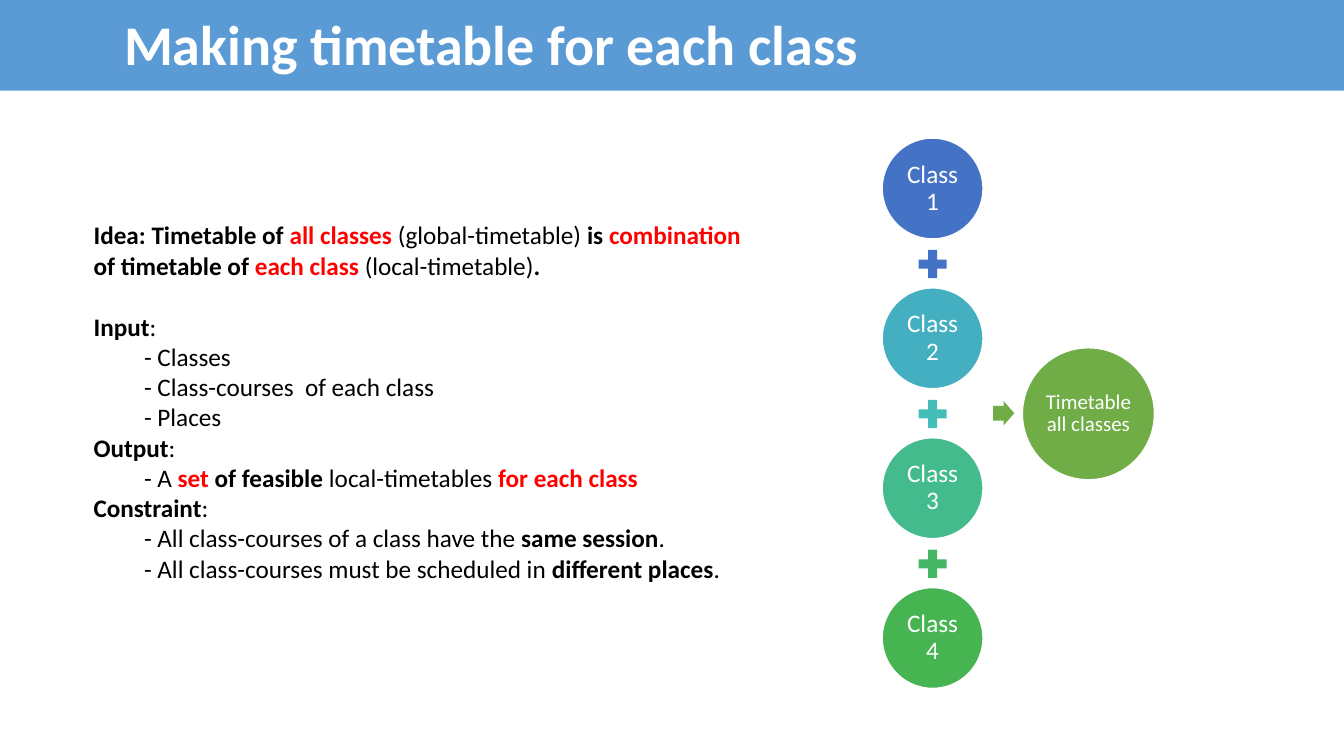
from pptx import Presentation
from pptx.dml.color import RGBColor
from pptx.enum.shapes import MSO_SHAPE
from pptx.enum.text import MSO_ANCHOR, PP_ALIGN
from pptx.util import Inches, Pt

ARROW = MSO_SHAPE.RIGHT_ARROW
CIRCLE = MSO_SHAPE.OVAL
PLUS = MSO_SHAPE.MATH_PLUS
MIDDLE = MSO_ANCHOR.MIDDLE
LEFT = PP_ALIGN.LEFT
CENTER = PP_ALIGN.CENTER

WHITE, BLACK, RED = "FFFFFF", "000000", "FF0000"
BLUE, GREEN = "5B9BD5", "70AD47"


def color(value):
    """Return the colour for a hex string."""
    return RGBColor.from_string(value)


def plain(text):
    """Describe a regular black run."""
    return text, False, BLACK


def bold(text):
    """Describe a bold black run."""
    return text, True, BLACK


def key(text):
    """Describe a bold red run."""
    return text, True, RED


class SlideBuilder:
    """Holds the style and the current slide."""

    font = "Calibri"

    def __init__(self, slide):
        """Keep the slide to draw on."""
        self.slide = slide

    def add_run(self, paragraph, text, size, is_bold, ink):
        """Append one styled run to a paragraph."""
        run = paragraph.add_run()
        run.text = text
        run.font.name = self.font
        run.font.size = Pt(size)
        run.font.bold = is_bold
        run.font.color.rgb = color(ink)

    def shape(self, kind, left, top, width, height, fill, outline=None):
        """Draw a filled preset shape."""
        shape = self.slide.shapes.add_shape(
            kind, Inches(left), Inches(top), Inches(width), Inches(height))
        shape.shadow.inherit = False
        shape.fill.solid()
        shape.fill.fore_color.rgb = color(fill)
        if outline:
            shape.line.color.rgb = color(outline)
            shape.line.width = Pt(1)
        else:
            shape.line.fill.background()
        return shape

    def banner(self, text):
        """Draw the title band across the top."""
        band = self.shape(ARROW, 0, -0.51, 14.71, 1.88, BLUE)
        frame = band.text_frame
        frame.vertical_anchor = MIDDLE
        frame.margin_left = Inches(1.23)
        title = frame.paragraphs[0]
        title.alignment = LEFT
        self.add_run(title, text, 40, True, WHITE)

    def circle(self, left, top, diameter, fill, label, size, inset):
        """Draw a circle with a centred label."""
        disc = self.shape(CIRCLE, left, top, diameter, diameter, fill, WHITE)
        frame = disc.text_frame
        frame.word_wrap = True
        frame.vertical_anchor = MIDDLE
        frame.margin_left = frame.margin_right = Inches(inset)
        frame.margin_top = frame.margin_bottom = Inches(inset)
        caption = frame.paragraphs[0]
        caption.alignment = CENTER
        caption.line_spacing = 0.9
        self.add_run(caption, label, size, False, WHITE)

    def body(self, left, top, width, height, lines, size, gap_before):
        """Write lines of (level, runs), with a gap before one of them."""
        box = self.slide.shapes.add_textbox(
            Inches(left), Inches(top), Inches(width), Inches(height))
        frame = box.text_frame
        frame.word_wrap = True
        for index, (level, runs) in enumerate(lines):
            paragraph = frame.add_paragraph() if index else frame.paragraphs[0]
            if level:
                paragraph.level = level
                properties = paragraph._p.get_or_add_pPr()
                properties.set("marL", str(Inches(0.5 * level)))
                properties.set("indent", "0")
            if index == gap_before:
                paragraph.space_before = Pt(22)
            for text, is_bold, ink in runs:
                self.add_run(paragraph, text, size, is_bold, ink)


IDEA = [
    (0, [bold("Idea: Timetable of "), key("all classes "),
         plain("(global-timetable)"), bold(" is "), key("combination"),
         bold(" of timetable of "), key("each class "),
         plain("(local-timetable)"), bold(".")]),
    (0, [bold("Input"), plain(":")]),
    (1, [plain("- Classes")]),
    (1, [plain("- Class-courses  of each class")]),
    (1, [plain("- Places")]),
    (0, [bold("Output"), plain(":")]),
    (1, [plain("- A "), key("set"), bold(" of feasible "),
         plain("local-timetables "), key("for each class")]),
    (0, [bold("Constraint"), plain(":")]),
    (1, [plain("- All class-courses of a class have the "),
         bold("same session"), plain(".")]),
    (1, [plain("- All class-courses must be scheduled in "),
         bold("different places"), plain(".")]),
]
CLASS_FILLS = ["4472C4", "43AFC0", "43BB8D", "45B451"]
PLUS_FILLS = ["4472C4", "43BEB9", "45B664"]
FIRST_TOP = 1.37
CLASS_PITCH = 4.46 / 3


def main():
    """Build the slide and save it."""
    deck = Presentation()
    deck.slide_width = Inches(13.33)
    deck.slide_height = Inches(7.5)
    builder = SlideBuilder(deck.slides.add_slide(deck.slide_layouts[6]))

    builder.banner("Making timetable for each class")
    builder.body(0.83, 2.13, 6.81, 4.04, IDEA, 18, gap_before=1)

    for index, fill in enumerate(CLASS_FILLS):
        top = FIRST_TOP + index * CLASS_PITCH
        builder.circle(8.75, top, 1, fill, f"Class {index + 1}", 18, 0.03)
    for index, fill in enumerate(PLUS_FILLS):
        top = FIRST_TOP + 1.06 + index * CLASS_PITCH
        builder.shape(PLUS, 9.06, top, 0.38, 0.38, fill)

    result_arrow = builder.shape(ARROW, 9.85, 3.98, 0.21, 0.24, GREEN)
    result_arrow.adjustments[0] = 0.6
    builder.circle(10.14, 3.45, 1.31, GREEN, "Timetable all classes", 15, 0.02)

    deck.save("out.pptx")


if __name__ == "__main__":
    main()
